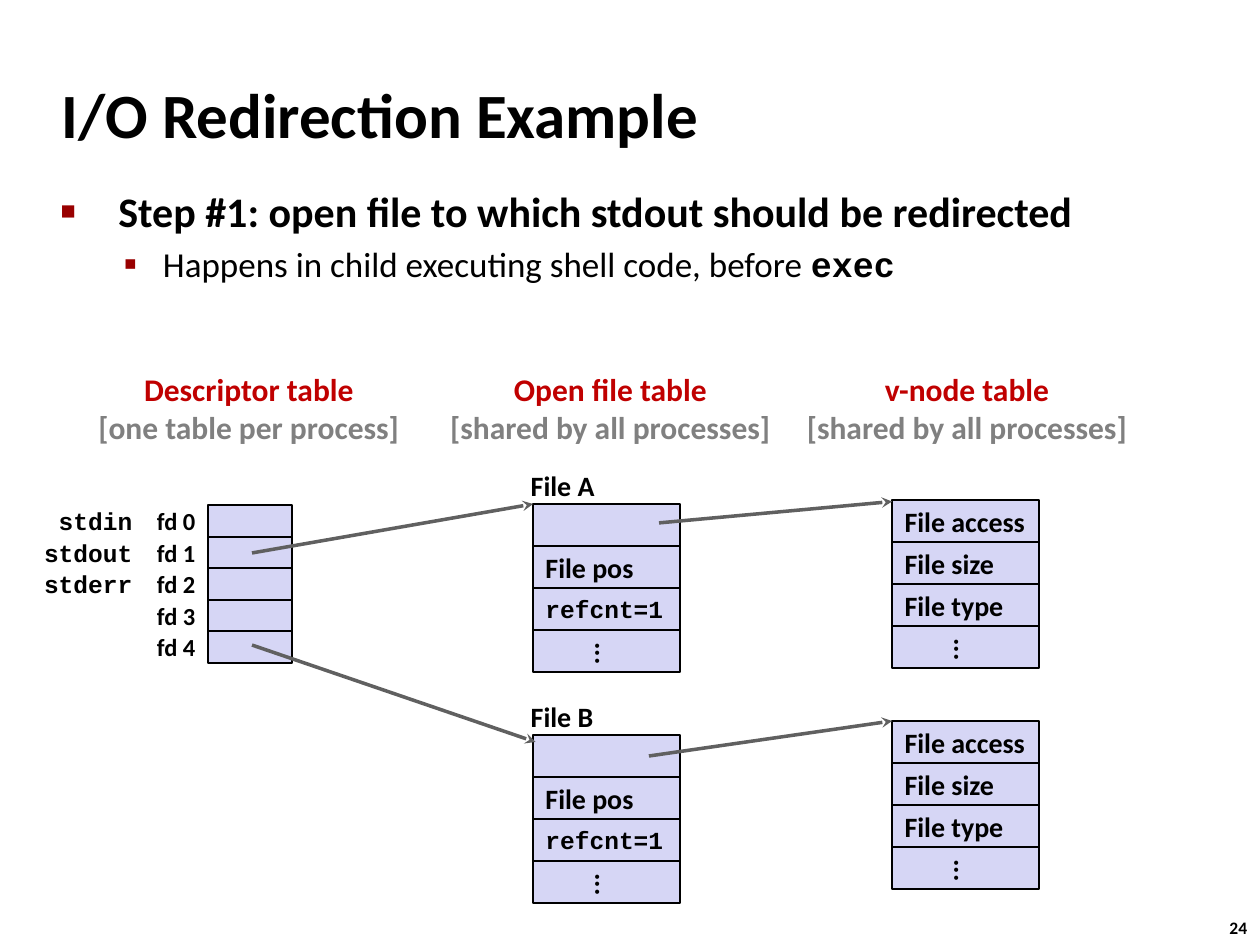
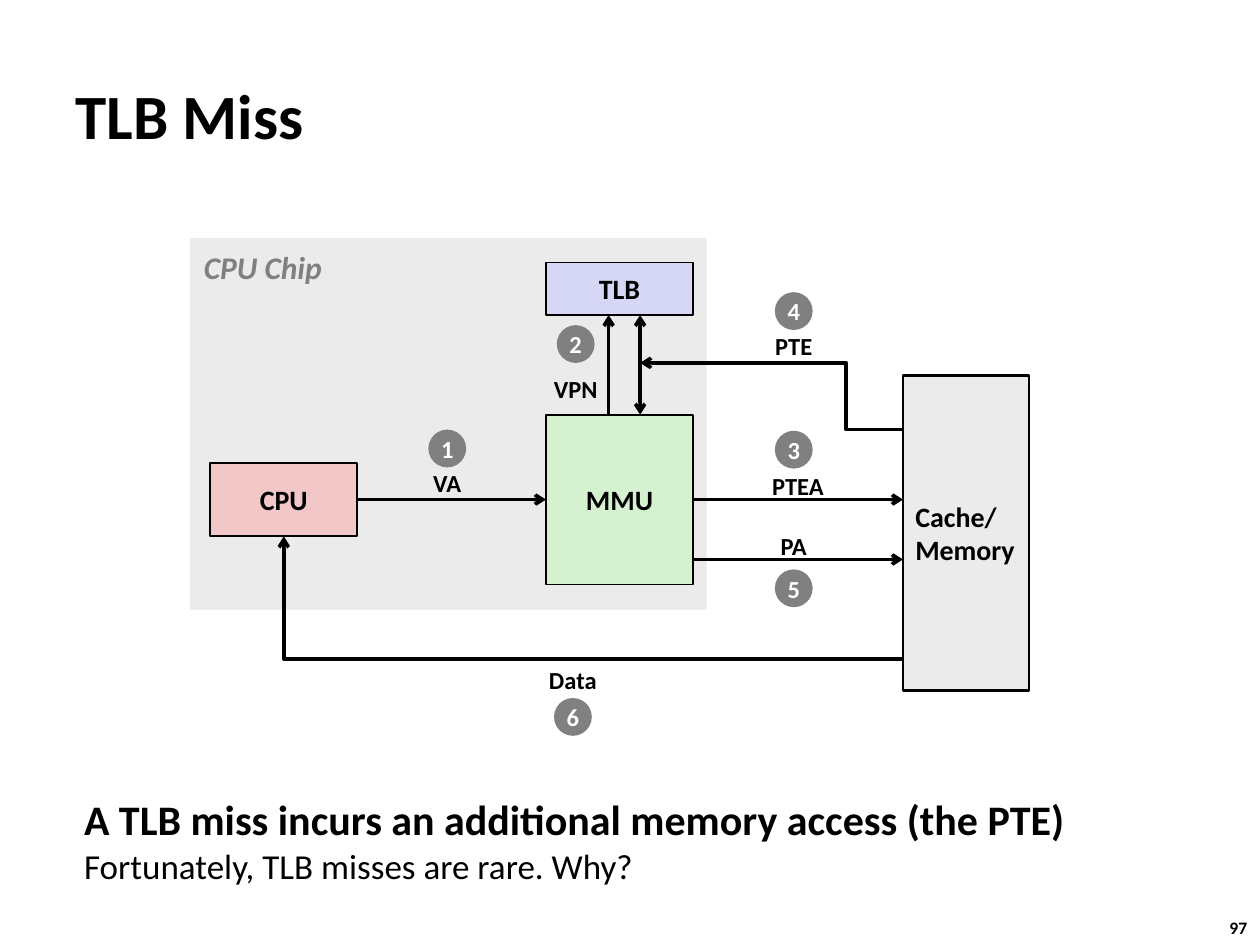
from dataclasses import dataclass, replace
from typing import NamedTuple, Optional

import lxml.etree
import pptx
import pptx.dml.color
import pptx.enum.shapes
import pptx.enum.text
import pptx.oxml.ns
import pptx.util

Pt = pptx.util.Pt
qn = pptx.oxml.ns.qn
ALIGN = pptx.enum.text.PP_ALIGN
ANCHOR = pptx.enum.text.MSO_ANCHOR
SHAPE = pptx.enum.shapes.MSO_SHAPE
LINK = pptx.enum.shapes.MSO_CONNECTOR

# Shared colours
BLACK, WHITE, GRAY = "000000", "FFFFFF", "808080"
RED, MAROON, SLATE = "C00000", "990000", "606060"
LILAC, GREEN, PINK, PALE = "D6D6F5", "D5F1CF", "F1C7C7", "EBEBEB"


@dataclass(frozen=True)
class Style:
    size: float
    color: str = BLACK
    face: str = "Calibri"
    bold: bool = True
    slant: bool = False


TITLE, LEAD, PLAIN = Style(36), Style(24), Style(20, bold=False)
HEAD, CELL, SMALL, FOOT = Style(18, RED), Style(16), Style(14), Style(10)
CODE = replace(SMALL, face="Courier New")


class Box(NamedTuple):
    x: float
    y: float
    w: float
    h: float


class Cell(NamedTuple):
    text: str = ""
    style: Style = CELL
    turn: bool = False


class Step(NamedTuple):
    name: str
    mid: float
    dot: float
    label: float
    shift: float = 0


def tint(color: str) -> pptx.dml.color.RGBColor:
    return pptx.dml.color.RGBColor.from_string(color)


def dress(run, style: Style) -> None:
    font = run.font
    font.name, font.size = style.face, Pt(style.size)
    font.bold, font.italic = style.bold, style.slant
    font.color.rgb = tint(style.color)


def write(shape, text: str, styles: list[Style], align=ALIGN.LEFT,
          anchor=ANCHOR.MIDDLE, wrap: bool = False) -> None:
    """Fill a shape with text, one style for each line."""
    frame = shape.text_frame
    frame.text = text
    frame.word_wrap = wrap
    frame.vertical_anchor = anchor
    for part in frame.paragraphs:
        part.alignment = align
    runs = [run for part in frame.paragraphs for run in part.runs]
    for i, run in enumerate(runs):
        dress(run, styles[min(i, len(styles) - 1)])


def place(shape, box: Box) -> None:
    shape.left, shape.top, shape.width, shape.height = map(Pt, box)


def note(slide, box: Box, text: str, *styles: Style, **layout) -> None:
    write(slide.shapes.add_textbox(*map(Pt, box)), text, list(styles), **layout)


def block(slide, box: Box, fill: str, text: str = "", style: Style = CELL,
          edge: float = 1, kind=SHAPE.RECTANGLE, align=ALIGN.CENTER):
    shape = slide.shapes.add_shape(kind, *map(Pt, box))
    shape.shadow.inherit = False
    shape.fill.solid()
    shape.fill.fore_color.rgb = tint(fill)
    if edge:
        shape.line.color.rgb = tint(BLACK)
        shape.line.width = Pt(edge)
    else:
        shape.line.fill.background()
    if text:
        write(shape, text, [style], align)
    return shape


def stack(slide, box: Box, cells: list[Cell]) -> None:
    """Draw equal cells downwards; box is the top one."""
    for i, cell in enumerate(cells):
        spot = box._replace(y=box.y + i * box.h)
        shape = block(slide, spot, LILAC, cell.text, cell.style, align=ALIGN.LEFT)
        if cell.turn:
            shape.text_frame._txBody.bodyPr.set("vert", "eaVert")


def arrow(slide, start: tuple, end: tuple, color: str = BLACK, tip: str = "arrow",
          both: bool = False, bend: str = "", ratio: Optional[float] = None):
    kind = LINK.ELBOW if bend else LINK.STRAIGHT
    link = slide.shapes.add_connector(kind, *map(Pt, start + end))
    link.line.color.rgb = tint(color)
    link.line.width = Pt(2)
    props = link._element.spPr
    edge = props.find(qn("a:ln"))
    if both:
        lxml.etree.SubElement(edge, qn("a:headEnd"), type=tip)
    lxml.etree.SubElement(edge, qn("a:tailEnd"), type=tip)
    lxml.etree.SubElement(props, qn("a:effectLst"))
    if bend:
        form = props.find(qn("a:prstGeom"))
        form.set("prst", bend)
        if ratio is not None:
            lxml.etree.SubElement(form.find(qn("a:avLst")), qn("a:gd"),
                                  name="adj1", fmla=f"val {round(ratio * 100000)}")
    return link


def bullet(part, mark: str, size: int, left: float, hang: float) -> None:
    props = part._p.get_or_add_pPr()
    props.set("marL", str(Pt(left)))
    props.set("indent", str(-Pt(hang)))
    shade = lxml.etree.SubElement(props, qn("a:buClr"))
    lxml.etree.SubElement(shade, qn("a:srgbClr"), val=MAROON)
    lxml.etree.SubElement(props, qn("a:buSzPct"), val=str(size * 1000))
    lxml.etree.SubElement(props, qn("a:buChar"), char=mark)


def start(deck, layout: int, title: str, box: Box, page: int):
    """Add a slide with its title and page number."""
    slide = deck.slides.add_slide(deck.slide_layouts[layout])
    head = slide.shapes.title
    place(head, box)
    write(head, title, [TITLE], wrap=True)
    head.text_frame.auto_size = pptx.enum.text.MSO_AUTO_SIZE.NONE
    note(slide, Box(695.5, 520.6, 26.6, 19.4), str(page), FOOT, anchor=ANCHOR.TOP)
    return slide


def draw_files(deck) -> None:
    slide = start(deck, 1, "I/O Redirection Example", Box(28, 34.6, 597.6, 59.8), 24)

    # Bullet list
    body = slide.placeholders[1]
    place(body, Box(27.4, 102.2, 673.2, 77.8))
    frame = body.text_frame
    frame.auto_size = pptx.enum.text.MSO_AUTO_SIZE.NONE
    first, second = frame.paragraphs[0], frame.add_paragraph()
    first.text = "Step #1: open file to which stdout should be redirected"
    second.text = "Happens in child executing shell code, before "
    second.add_run().text = "exec"
    second.level = 1
    bullet(first, "■", 60, 33, 33)
    bullet(second, "▪", 110, 58.5, 22.5)
    first.space_before, second.space_before = Pt(0), Pt(4)
    dress(first.runs[0], LEAD)
    dress(second.runs[0], PLAIN)
    dress(second.runs[1], replace(PLAIN, face="Courier New", bold=True))

    # Column heads
    shared = "[shared by all processes]"
    for mid, name, scope in [(142.2, "Descriptor table", "[one table per process]"),
                             (348.8, "Open file table", shared),
                             (552.6, "v-node table", shared)]:
        note(slide, Box(mid - 100, 207.4, 200, 51), f"{name}\n{scope}",
             HEAD, replace(HEAD, color=GRAY), align=ALIGN.CENTER)

    # Descriptor table with its row names
    row = Box(118.8, 288.7, 48, 18)
    stack(slide, row, [Cell()] * 5)
    for i in range(5):
        note(slide, Box(row.x - row.w, row.y + i * row.h, row.w, row.h),
             f"fd {i}", SMALL, align=ALIGN.RIGHT)
    for i, name in enumerate(["stdin", "stdout", "stderr"]):
        note(slide, Box(18, row.y + i * row.h, 64.8, row.h), name, CODE,
             align=ALIGN.RIGHT)

    # Open files and their v-nodes
    dots = Cell("...", turn=True)
    entry = [Cell(), Cell("File pos"), Cell("refcnt=1", CODE), dots]
    vnode = [Cell("File access"), Cell("File size"), Cell("File type"), dots]
    for name, top, node in [("File A", 288, 285.8), ("File B", 420, 412)]:
        stack(slide, Box(304.6, top, 84, 24), entry)
        stack(slide, Box(509.8, node, 84, 24), vnode)
        note(slide, Box(296.2, top - 24, 51, 26.6), name, CELL)

    # Pointers
    for tail, tip in [((144, 316), (304.6, 288)), ((376.6, 298.8), (509.8, 286.6)),
                      ((144, 368.6), (306, 424)), ((370.8, 432), (509.8, 412))]:
        arrow(slide, tail, tip, SLATE, "stealth")


def draw_miss(deck) -> None:
    slide = start(deck, 5, "TLB Miss", Box(36, 34.6, 686.2, 62), 97)

    # Chip and its units
    block(slide, Box(108.7, 136, 295.2, 212.4), PALE, edge=0)
    note(slide, Box(109.4, 138.2, 83.5, 28.8), "CPU Chip",
         Style(18, GRAY, slant=True), anchor=ANCHOR.TOP)
    block(slide, Box(312, 150, 84, 30), LILAC, "TLB")
    mmu = block(slide, Box(312, 237, 84, 97), GREEN, "MMU")
    cpu = block(slide, Box(120.2, 264.5, 84, 42), PINK, "CPU")
    block(slide, Box(516, 214.6, 72, 180), PALE, "Cache/\nMemory",
          edge=1.5, align=ALIGN.LEFT)

    # Signals
    mid = 285.5
    call = arrow(slide, (204.2, mid), (312, mid))
    call.begin_connect(cpu, 3)
    call.end_connect(mmu, 1)
    fetch = arrow(slide, (396, mid), (516, mid))
    fetch.begin_connect(mmu, 3)
    arrow(slide, (396, 319.7), (516, 319.7))
    arrow(slide, (347.8, 237), (347.8, 180))
    arrow(slide, (365.8, 180), (365.8, 237), both=True)
    arrow(slide, (516, 376.6), (162.2, 306.5), bend="bentConnector2")
    arrow(slide, (516, 245.5), (365.8, 207.4), bend="bentConnector3", ratio=0.216)

    # Numbered steps
    size = 21.6
    steps = [Step("VA", 255.6, 245.5, 264.2), Step("VPN", 329, 185.8, 210.2),
             Step("PTEA", 453.6, 246.2, 265.7, 2.4), Step("PTE", 453.6, 167, 185.8),
             Step("PA", 453.6, 325.4, 300.2), Step("Data", 327.4, 398.9, 376.6)]
    for num, step in enumerate(steps, 1):
        block(slide, Box(step.mid - size / 2, step.dot, size, size), GRAY, str(num),
              replace(SMALL, color=WHITE), edge=0, kind=SHAPE.OVAL)
        note(slide, Box(step.mid + step.shift - 22, step.label, 44, 23.8),
             step.name, SMALL, align=ALIGN.CENTER)

    # Closing remark
    note(slide, Box(41, 450, 607, 72),
         "A TLB miss incurs an additional memory access (the PTE)\v"
         "Fortunately, TLB misses are rare. Why?",
         LEAD, PLAIN, anchor=ANCHOR.TOP, wrap=True)


def main() -> None:
    deck = pptx.Presentation()
    deck.slide_width, deck.slide_height = Pt(720), Pt(540)
    draw_files(deck)
    draw_miss(deck)
    deck.save("out.pptx")


if __name__ == "__main__":
    main()
